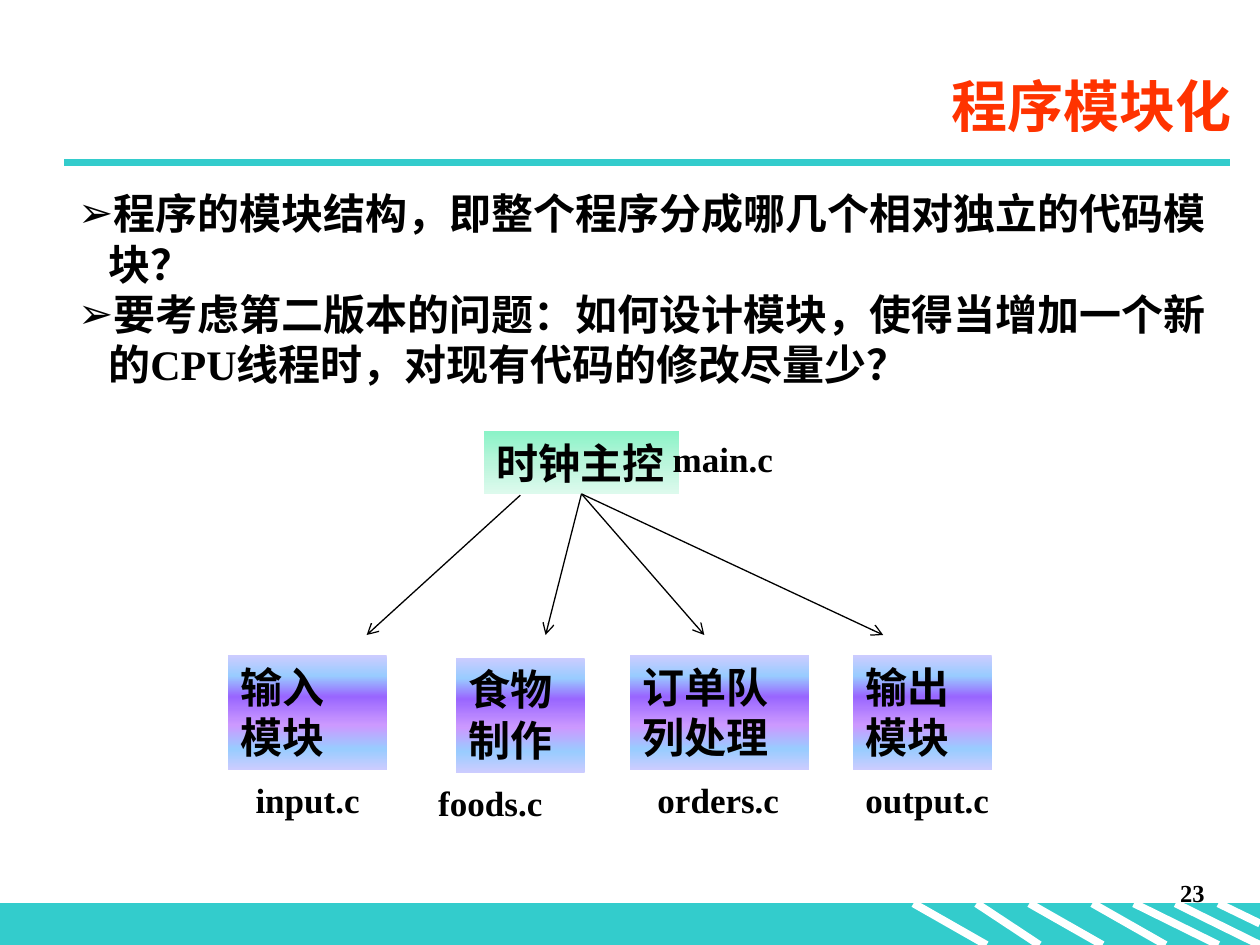
from dataclasses import dataclass
from lxml.etree import SubElement
from pptx import Presentation
from pptx.dml.color import RGBColor
from pptx.enum.shapes import MSO_CONNECTOR as Connector, MSO_SHAPE as Shape
from pptx.enum.text import MSO_ANCHOR as Anchor, MSO_AUTO_SIZE as AutoSize, PP_ALIGN as Align
from pptx.oxml.ns import qn
from pptx.util import Inches, Pt


@dataclass(frozen=True)
class Theme:
    font: str = "Times New Roman"
    teal: str = "33CCCC"
    white: str = "FFFFFF"
    heading: str = "FF3300"
    ink: str = "000000"
    green_stops: tuple = ((0, "8AF3C7"), (50, "B9F5DB"), (100, "DDFAED"))
    violet_stops: tuple = ((0, "CCCCFF"), (18, "99CCFF"), (36, "9966FF"),
                           (61, "CC99FF"), (82, "99CCFF"), (100, "CCCCFF"))
    title_size: int = 32
    body_size: int = 24
    file_size: int = 20
    page_size: int = 14
    rule_width: float = 4.5
    arrow_width: float = 0.75


theme = Theme()


def write(holder, box, text, size, color=theme.ink, align=Align.LEFT, anchor=Anchor.TOP):
    holder.left, holder.top, holder.width, holder.height = map(Inches, box)
    frame = holder.text_frame
    frame.text = text
    frame.word_wrap = True
    frame.auto_size = AutoSize.NONE
    frame.vertical_anchor = anchor
    for paragraph in frame.paragraphs:
        paragraph.alignment = align
        paragraph.space_before = Pt(0)
        for run in paragraph.runs:
            run.font.name = theme.font
            run.font.size = Pt(size)
            run.font.bold = True
            run.font.color.rgb = RGBColor.from_string(color)


def draw_line(start, end, color, width):
    line = slide.shapes.add_connector(Connector.STRAIGHT, *map(Inches, (*start, *end)))
    line.line.color.rgb = RGBColor.from_string(color)
    line.line.width = Pt(width)
    SubElement(line._element.spPr, qn("a:effectLst"))
    return line


prs = Presentation()
prs.slide_width, prs.slide_height = Inches(10), Inches(7.5)
slide = prs.slides.add_slide(prs.slide_layouts[1])
shapes = slide.shapes

footer = shapes.add_shape(Shape.RECTANGLE, *map(Inches, (0, 7.17, 10, 0.33)))
footer.shadow.inherit = False
footer.fill.solid()
footer.fill.fore_color.rgb = RGBColor.from_string(theme.teal)
footer.line.color.rgb = RGBColor.from_string(theme.teal)
footer.line.width = Pt(0.75)

stripes = [(7.25, 7.83, 7.5), (7.75, 8.25, 7.5), (8.17, 8.75, 7.5), (8.67, 9.25, 7.5),
           (9, 9.67, 7.5), (9.33, 10, 7.5), (9.67, 10, 7.33)]
for left, right, bottom in stripes:
    draw_line((left, 7.17), (right, bottom), theme.white, theme.rule_width)
draw_line((0.51, 1.29), (9.76, 1.29), theme.teal, theme.rule_width)

write(shapes.title, (1.38, 0.44, 8.5, 0.79), "程序模块化", theme.title_size,
      theme.heading, Align.RIGHT, Anchor.MIDDLE)

questions = slide.placeholders[1]
write(questions, (0.52, 1.44, 9.15, 1.36),
      "程序的模块结构，即整个程序分成哪几个相对独立的代码模块？\n"
      "要考虑第二版本的问题：如何设计模块，使得当增加一个新的CPU线程时，对现有代码的修改尽量少？",
      theme.body_size)
for paragraph in questions.text_frame.paragraphs:
    properties = paragraph._p.get_or_add_pPr()
    properties.set("marL", str(Inches(0.24)))
    properties.set("indent", str(-Inches(0.24)))
    SubElement(properties, qn("a:buChar"), char="➢")

write(shapes.add_textbox(0, 0, 0, 0), (7.58, 6.92, 2.08, 0.5), "23",
      theme.page_size, align=Align.RIGHT)

modules = [
    ("时钟主控", (3.84, 3.42, 1.55, 0.5), theme.green_stops),
    ("输入\n模块", (1.81, 5.2, 1.26, 0.91), theme.violet_stops),
    ("食物制作", (3.62, 5.22, 1.02, 0.91), theme.violet_stops),
    ("订单队列处理", (5, 5.2, 1.42, 0.91), theme.violet_stops),
    ("输出模块", (6.77, 5.2, 1.1, 0.91), theme.violet_stops),
]
blocks = []
for label, box, stops in modules:
    block = shapes.add_shape(Shape.RECTANGLE, 0, 0, 0, 0)
    write(block, box, label, theme.body_size)
    block.shadow.inherit = False
    block.line.fill.background()
    block.fill.gradient()
    block.fill.gradient_angle = 270
    stop_list = block._element.spPr.find(qn("a:gradFill")).find(qn("a:gsLst"))
    for stop in list(stop_list):
        stop_list.remove(stop)
    for percent, color in stops:
        stop = SubElement(stop_list, qn("a:gs"), pos=str(percent * 1000))
        SubElement(stop, qn("a:srgbClr"), val=color)
    blocks.append(block)
clock = blocks[0]

for start_x, end_x in [(4.13, 2.91), (4.62, 4.33), (4.62, 5.59), (4.62, 7.01)]:
    call = draw_line((start_x, 3.93), (end_x, 5.04), theme.ink, theme.arrow_width)
    SubElement(call.line._get_or_add_ln(), qn("a:tailEnd"), type="arrow")
    if start_x == 4.62:
        call.begin_connect(clock, 2)

source_files = [
    ("main.c", (5.24, 3.42, 1.02, 0.44)),
    ("input.c", (1.93, 6.13, 1.14, 0.44)),
    ("foods.c", (3.38, 6.15, 1.43, 0.44)),
    ("orders.c", (5.12, 6.13, 1.3, 0.44)),
    ("output.c", (6.77, 6.13, 1.42, 0.44)),
]
for file_name, box in source_files:
    write(shapes.add_textbox(0, 0, 0, 0), box, file_name, theme.file_size)

prs.save("out.pptx")
